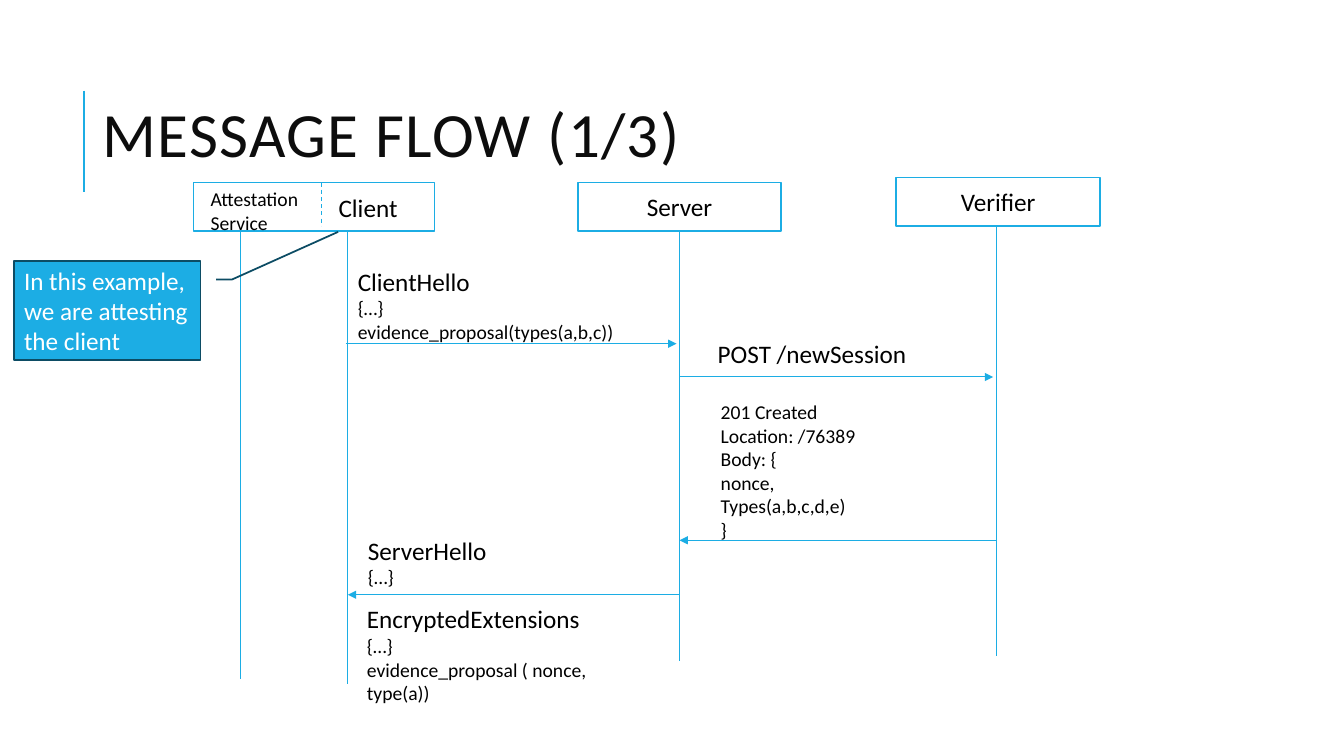
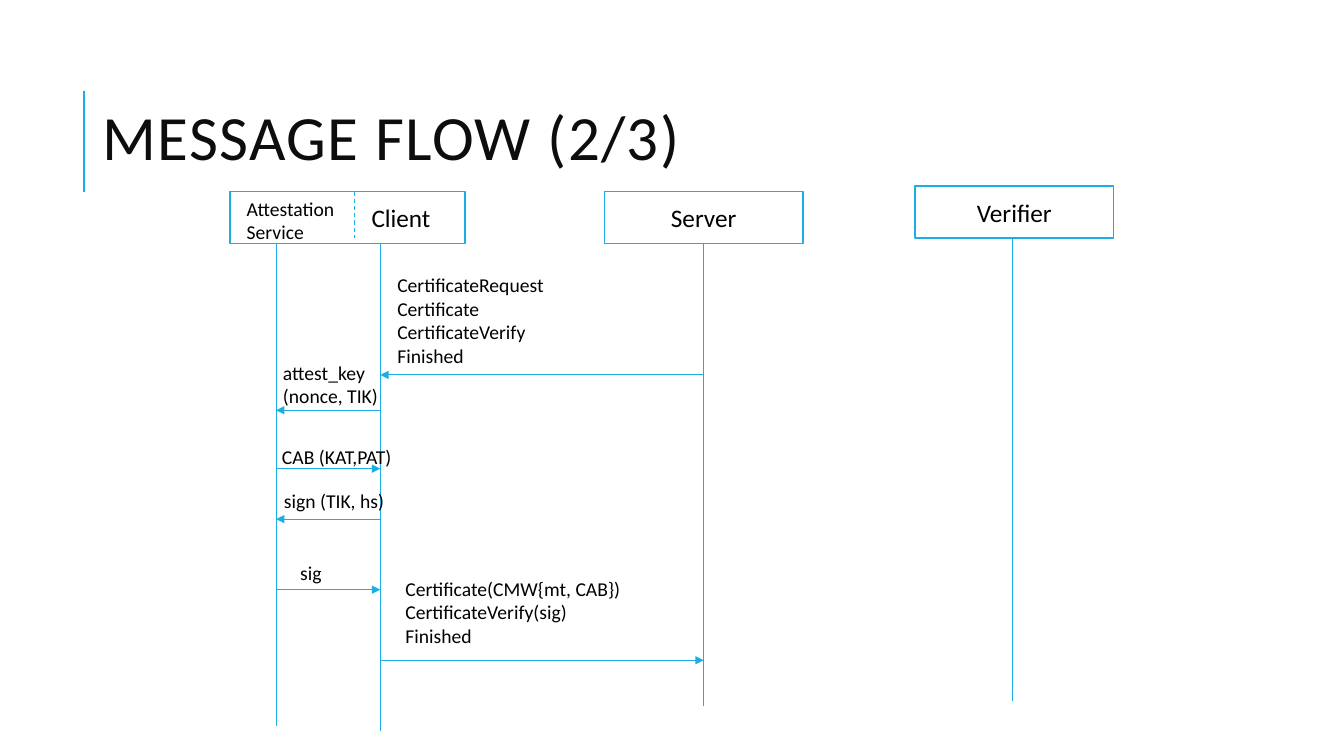
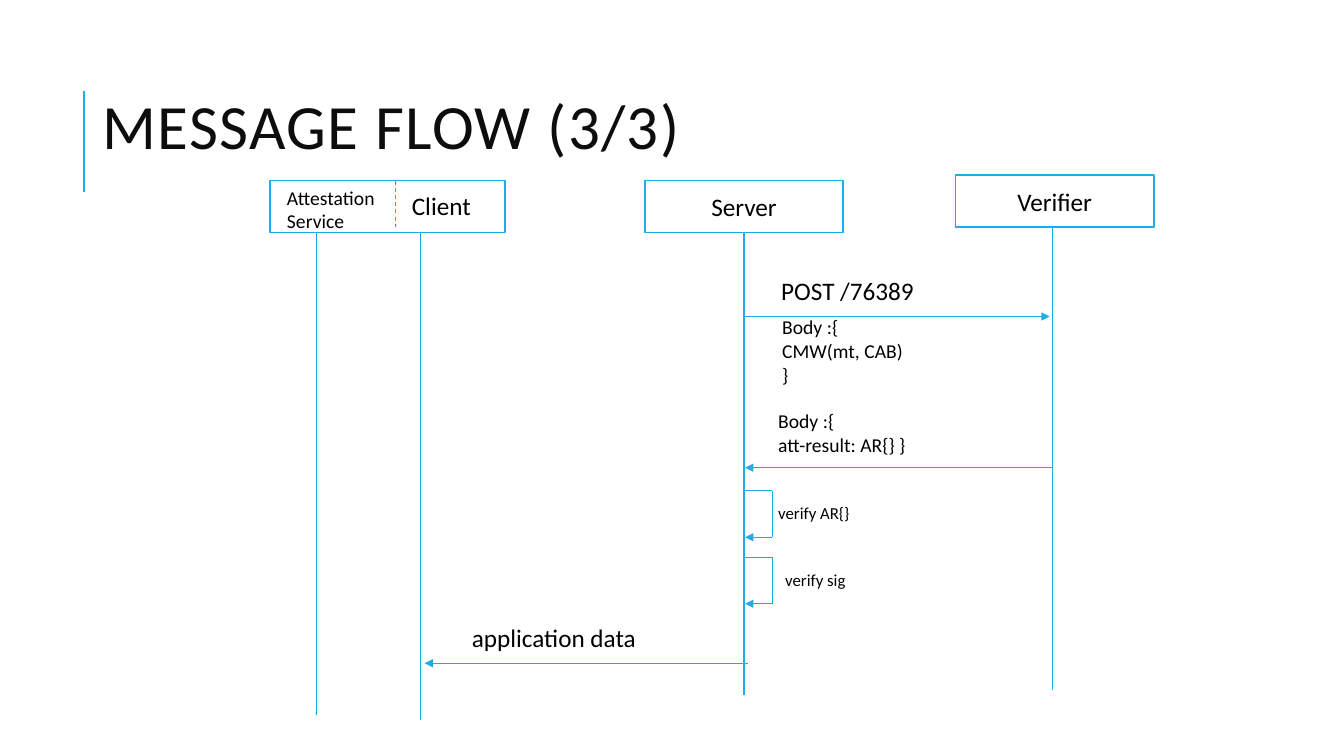
from dataclasses import dataclass

from lxml.etree import SubElement
from pptx import Presentation
from pptx.dml.color import RGBColor
from pptx.enum.dml import MSO_LINE
from pptx.enum.shapes import MSO_CONNECTOR, MSO_SHAPE
from pptx.enum.text import MSO_ANCHOR, PP_ALIGN
from pptx.oxml.ns import qn
from pptx.util import Inches, Pt

FONT = "Calibri"
ACCENT, ACCENT_DARK = "1CADE4", "0C4C64"
BLACK, WHITE, TITLE_COLOR = "000000", "FFFFFF", "0D0D0D"
HEADING, DETAIL, SMALL = 18, 14, 12


def color(value):
    return RGBColor.from_string(value)


def inches(*lengths):
    return [Inches(length) for length in lengths]


def style(paragraph, size, font_color=BLACK):
    paragraph.font.name = FONT
    paragraph.font.size = Pt(size)
    paragraph.font.color.rgb = color(font_color)


def add_line(slide, start, end, width=0.75, dashed=False, arrow=False):
    connector = slide.shapes.add_connector(MSO_CONNECTOR.STRAIGHT, *inches(*start, *end))
    connector.line.color.rgb = color(ACCENT)
    connector.line.width = Pt(width)
    if dashed:
        connector.line.dash_style = MSO_LINE.DASH
    if arrow:
        SubElement(connector.line._get_or_add_ln(), qn("a:tailEnd"), type="triangle")
    SubElement(connector._element.spPr, qn("a:effectLst"))


def add_text(slide, left, top, width, lines):
    height = 0.1 + sum(size for _, size in lines) * 1.2 / 72
    frame = slide.shapes.add_textbox(*inches(left, top, width, height)).text_frame
    frame.word_wrap = True
    for index, (text, size) in enumerate(lines):
        paragraph = frame.add_paragraph() if index else frame.paragraphs[0]
        paragraph.text = text
        style(paragraph, size)


def add_box(slide, kind, box, text="", fill=WHITE, line=ACCENT,
            font_color=BLACK, align=PP_ALIGN.CENTER):
    shape = slide.shapes.add_shape(kind, *inches(*box))
    shape.shadow.inherit = False
    shape.fill.solid()
    shape.fill.fore_color.rgb = color(fill)
    shape.line.color.rgb = color(line)
    shape.line.width = Pt(1.25)
    if text:
        frame = shape.text_frame
        frame.word_wrap = True
        frame.vertical_anchor = MSO_ANCHOR.MIDDLE
        paragraph = frame.paragraphs[0]
        paragraph.text = text
        paragraph.alignment = align
        style(paragraph, HEADING, font_color)
    return shape


def add_titled_slide(presentation, title, top):
    slide = presentation.slides.add_slide(presentation.slide_layouts[6])
    add_line(slide, (0.83, 0.9), (0.83, 1.9), 1.5)
    frame = slide.shapes.add_textbox(*inches(0.92, top, 11.5, 0.76)).text_frame
    frame.word_wrap = True
    frame.vertical_anchor = MSO_ANCHOR.MIDDLE
    paragraph = frame.paragraphs[0]
    paragraph.text = title
    paragraph.line_spacing = 0.8
    style(paragraph, 45, TITLE_COLOR)
    paragraph.runs[0].font._element.set("spc", "100")
    return slide


@dataclass
class Lanes:
    slide: object
    top: float
    attester: float
    client: float
    server: float
    verifier: float

    def arrow(self, start, end, y):
        add_line(self.slide, (start, self.top + y), (end, self.top + y), arrow=True)

    def label(self, left, y, width, heading="", details=(), size=DETAIL):
        lines = [(heading, HEADING)] if heading else []
        lines += [(detail, size) for detail in details]
        add_text(self.slide, left, self.top + y, width, lines)

    def self_call(self, y, text, indent):
        left, right = self.server + 0.01, self.server + 0.28
        start, end = self.top + y, self.top + y + 0.46
        add_line(self.slide, (left, start), (right, start))
        add_line(self.slide, (right, start), (right, end))
        self.arrow(right, left, y + 0.46)
        self.label(self.server + indent, y + 0.07, 1.04, details=[text], size=SMALL)


def add_lanes(slide, left, top, x_scale=1.0, y_scale=1.0):
    def x(offset):
        return left + offset * x_scale

    def y(offset):
        return top + offset * y_scale

    heads = [("", 0, 0, 2.39), ("Server", 3.81, 0, 2.02), ("Verifier", 6.97, -0.05, 2.02)]
    for name, offset, rise, width in heads:
        box = (x(offset), y(rise), width * x_scale, 0.48 * y_scale)
        add_box(slide, MSO_SHAPE.RECTANGLE, box, name)
    add_line(slide, (x(1.27), top), (x(1.27), y(0.43)), dashed=True)
    add_text(slide, x(1.34), y(0.05), 0.86, [("Client", HEADING)])
    add_text(slide, x(0.07), top, 1.2, [("Attestation", DETAIL), ("Service", DETAIL)])

    lifelines = [(0.47, 0.48, 4.93), (1.53, 0.48, 4.98), (4.82, 0.48, 4.75), (7.96, 0.43, 4.7)]
    for offset, start, end in lifelines:
        add_line(slide, (x(offset), y(start)), (x(offset), y(end)))
    return Lanes(slide, top, *[x(offset) for offset, _, _ in lifelines])


def add_callout(slide, box, text):
    callout = add_box(slide, MSO_SHAPE.LINE_CALLOUT_2, box, text, ACCENT,
                      ACCENT_DARK, WHITE, PP_ALIGN.LEFT)
    for index, value in enumerate([0.188, -0.083, 0.188, -0.167, -0.296, -0.737]):
        callout.adjustments[index] = value
    callout._element.spPr.xfrm.set("flipH", "1")


def build_hello_slide(presentation):
    slide = add_titled_slide(presentation, "MESSAGE FLOW (1/3)", 1)
    lanes = add_lanes(slide, 1.92, 1.81)
    client, server, verifier = lanes.client, lanes.server, lanes.verifier
    lanes.arrow(client - 0.02, server - 0.03, 1.6)
    lanes.label(client, 0.78, 2.98, "ClientHello",
                ["{…}", "evidence_proposal(types(a,b,c))"])
    lanes.arrow(server, verifier - 0.03, 1.93)
    lanes.label(server + 0.28, 1.5, 2.27, "POST /newSession")
    lanes.label(server + 0.31, 2.11, 2.58, details=[
        "201 Created", "Location: /76389", "Body: {", "nonce,", "Types(a,b,c,d,e)", "}"])
    lanes.arrow(verifier, server, 3.55)
    lanes.arrow(server, client, 4.09)
    lanes.label(client + 0.1, 3.45, 2.98, "ServerHello", ["{…}"])
    lanes.label(client + 0.09, 4.13, 2.98, "EncryptedExtensions",
                ["{…}", "evidence_proposal ( nonce, type(a))"])
    add_callout(slide, (0.14, 2.59, 1.85, 0.98),
                "In this example, we are attesting the client")


def build_certificate_slide(presentation):
    slide = add_titled_slide(presentation, "MESSAGE FLOW (2/3)", 1.03)
    lanes = add_lanes(slide, 2.28, 1.9, 0.975, 1.075)
    attester, client, server = lanes.attester, lanes.client, lanes.server
    lanes.label(client + 0.07, 0.76, 2.91, details=[
        "CertificateRequest", "Certificate", "CertificateVerify", "Finished"])
    lanes.arrow(server, client, 1.82)
    lanes.arrow(client, server, 4.65)
    lanes.label(client + 0.15, 3.77, 2.91, details=[
        "Certificate(CMW{mt, CAB})", "CertificateVerify(sig)", "Finished"])

    for start, end, y in [(client, attester, 2.17), (attester, client, 2.75),
                          (client, attester, 3.25), (attester, client, 3.95)]:
        lanes.arrow(start, end, y)
    for offset, y, width, details in [
        (-0.03, 1.63, 1.22, ["attest_key", "(nonce, TIK)"]),
        (-0.04, 2.46, 1.32, ["CAB (KAT,PAT)"]),
        (-0.02, 2.9, 1.2, ["sign (TIK, hs)"]),
        (0.14, 3.62, 0.71, ["sig"]),
    ]:
        lanes.label(attester + offset, y, width, details=details)


def build_result_slide(presentation):
    slide = add_titled_slide(presentation, "MESSAGE FLOW (3/3)", 0.92)
    lanes = add_lanes(slide, 2.68, 1.79, 0.975, 1.075)
    client, server, verifier = lanes.client, lanes.server, lanes.verifier
    lanes.arrow(server, verifier - 0.03, 1.35)
    lanes.label(server + 0.27, 0.89, 2.22, "POST /76389")
    lanes.label(server + 0.28, 1.29, 2.52, details=["Body :{", "CMW(mt, CAB)", "}"])
    lanes.arrow(verifier, server + 0.01, 2.85)
    lanes.label(server + 0.24, 2.22, 2.52, details=["Body :{", "att-result: AR{} }"])
    lanes.self_call(3.08, "verify AR{}", 0.24)
    lanes.self_call(3.74, "verify sig", 0.31)
    lanes.arrow(server + 0.04, client + 0.04, 4.79)
    lanes.label(client + 0.41, 4.33, 2.22, "application data")


def main():
    presentation = Presentation()
    presentation.slide_width, presentation.slide_height = inches(13.33, 7.5)
    build_hello_slide(presentation)
    build_certificate_slide(presentation)
    build_result_slide(presentation)
    presentation.save("out.pptx")


if __name__ == "__main__":
    main()
